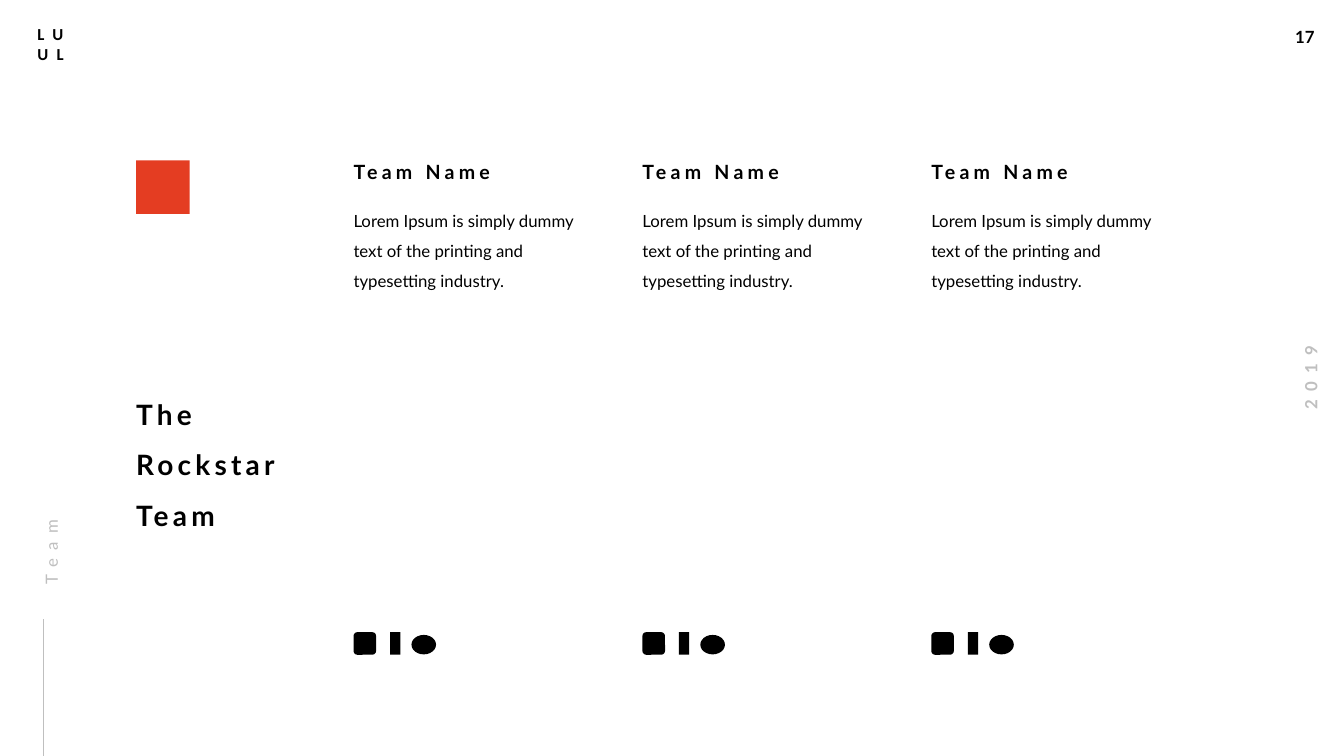
from dataclasses import dataclass

from lxml.etree import SubElement
from pptx import Presentation
from pptx.dml.color import RGBColor
from pptx.enum.shapes import MSO_CONNECTOR, MSO_SHAPE
from pptx.enum.text import MSO_AUTO_SIZE, PP_ALIGN
from pptx.oxml.ns import qn
from pptx.util import Cm, Pt


@dataclass(frozen=True)
class Theme:
    ink: RGBColor = RGBColor(0x00, 0x00, 0x00)
    grey: RGBColor = RGBColor(0xBF, 0xBF, 0xBF)
    red: RGBColor = RGBColor(0xE4, 0x3D, 0x22)
    font: str = "Lato"
    mark: str = "Calibri"
    body: int = 12
    name: int = 14
    title: int = 20


class Deck:
    def __init__(self, theme):
        self.theme = theme
        self.prs = Presentation()
        self.prs.slide_width, self.prs.slide_height = Cm(33.87), Cm(19.05)
        self.slide = self.prs.slides.add_slide(self.prs.slide_layouts[6])

    def text(self, box, lines, size=None, color=None, font=None, bold=False,
             track=0, gap=0, lead=None, align=None, turn=0, wrap=True,
             flush=True):
        shape = self.slide.shapes.add_textbox(*map(Cm, box))
        shape.rotation = turn
        frame = shape.text_frame
        frame.word_wrap = wrap
        frame.auto_size = MSO_AUTO_SIZE.SHAPE_TO_FIT_TEXT
        if flush:
            frame.margin_left = frame.margin_top = frame.margin_bottom = 0
            frame.margin_right = Cm(0.25)
        for i, line in enumerate(lines):
            para = frame.add_paragraph() if i else frame.paragraphs[0]
            run = para.add_run()
            run.text = line
            if track:
                run._r.get_or_add_rPr().set("spc", str(track * 100))
            if i and gap:
                para.space_before = Pt(gap)
            if lead:
                para.line_spacing = lead
            if align is not None:
                para.alignment = align
            face = para.font
            face.name = font or self.theme.font
            face.size = Pt(size or self.theme.body)
            face.bold = bold
            face.color.rgb = color or self.theme.ink

    def block(self, kind, box, color):
        shape = self.slide.shapes.add_shape(kind, *map(Cm, box))
        shape.shadow.inherit = False
        shape.fill.solid()
        shape.fill.fore_color.rgb = color
        shape.line.fill.background()

    def rule(self, ends, color, width):
        line = self.slide.shapes.add_connector(
            MSO_CONNECTOR.STRAIGHT, *map(Cm, ends))
        line.line.color.rgb = color
        line.line.width = Pt(width)
        SubElement(line._element.spPr, qn("a:effectLst"))

    def save(self):
        self.prs.save("out.pptx")


def main():
    theme = Theme()
    deck = Deck(theme)

    # Page frame: number, year and mark
    deck.text((32.39, 0.56, 1.04, 0.76), ["17"], bold=True, wrap=False,
              flush=False)
    deck.text((31.85, 9.14, 2.36, 0.76), ["2019"], color=theme.grey,
              bold=True, track=6, align=PP_ALIGN.CENTER, turn=270,
              wrap=False, flush=False)
    deck.text((0.69, 0.48, 1.5, 1.27), ["LU", "UL"], font=theme.mark,
              bold=True, track=6, flush=False)

    # Title and accent square
    deck.text((3.43, 10.01, 4.83, 3.43), ["The", "Rockstar", "Team"],
              size=theme.title, bold=True, track=3, gap=12)
    deck.block(MSO_SHAPE.RECTANGLE, (3.43, 4.04, 1.35, 1.35), theme.red)

    # Team columns, each with three plain marks for social links
    marks = [
        (MSO_SHAPE.ROUNDED_RECTANGLE, 0, 15.93, 0.57, 0.57),
        (MSO_SHAPE.RECTANGLE, 0.92, 15.93, 0.26, 0.57),
        (MSO_SHAPE.OVAL, 1.46, 16, 0.62, 0.49),
    ]
    for col in range(3):
        left = 8.91 + col * 7.28
        deck.text((left, 4.04, 5.36, 0.61), ["Team Name"], size=theme.name,
                  bold=True, track=3)
        deck.text((left, 5.05, 5.97, 2.21),
                  ["Lorem Ipsum is simply dummy text of the printing and "
                   "typesetting industry."], lead=1.5)
        for kind, shift, top, width, height in marks:
            deck.block(kind, (left + shift, top, width, height), theme.ink)

    # Section label on the left edge
    deck.rule((1.09, 19.05, 1.09, 15.6), theme.grey, 0.5)
    deck.text((-1.24, 12.04, 4.7, 0.66), ["Team"], color=theme.grey,
              track=6, lead=1.5, turn=270)

    deck.save()


if __name__ == "__main__":
    main()
